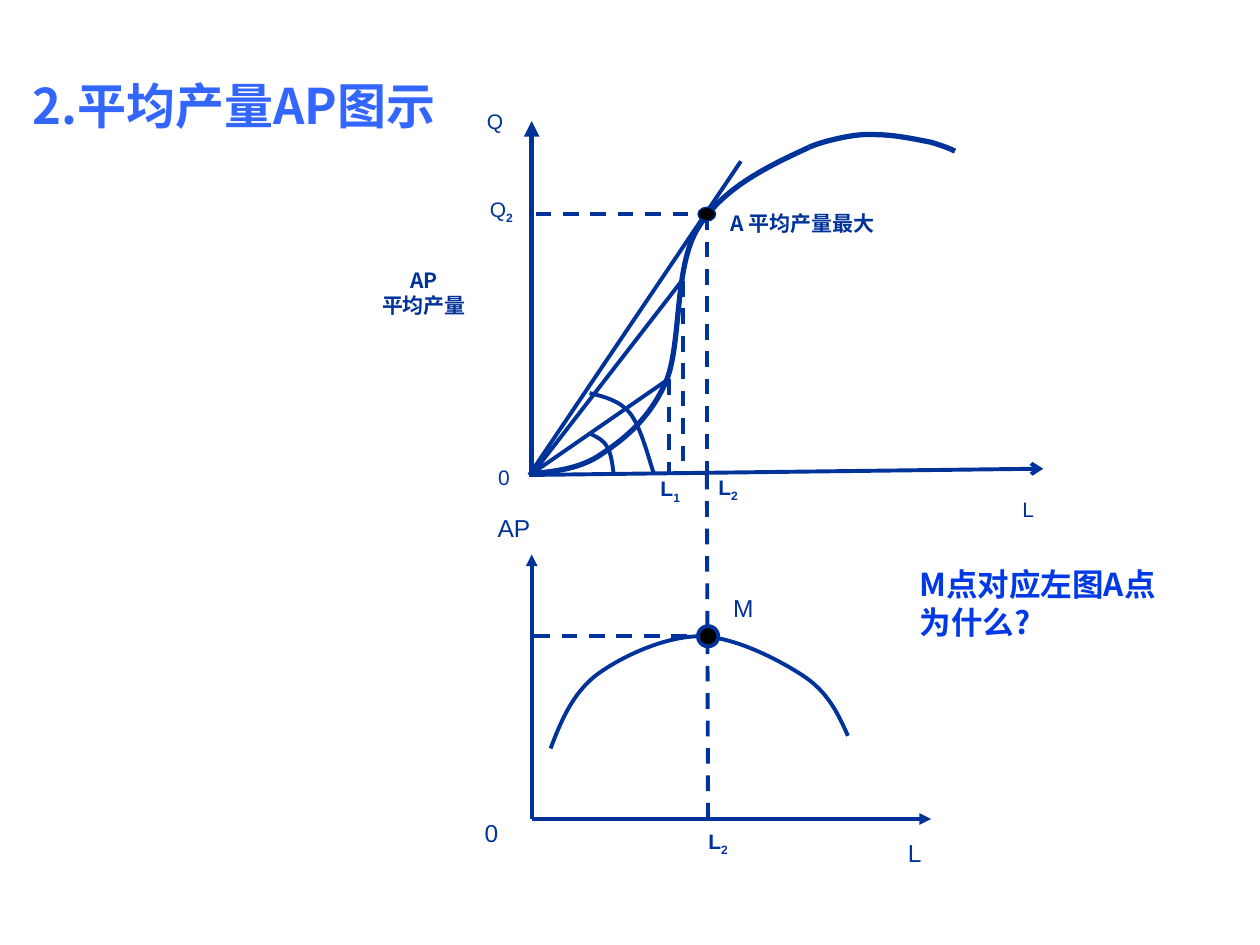
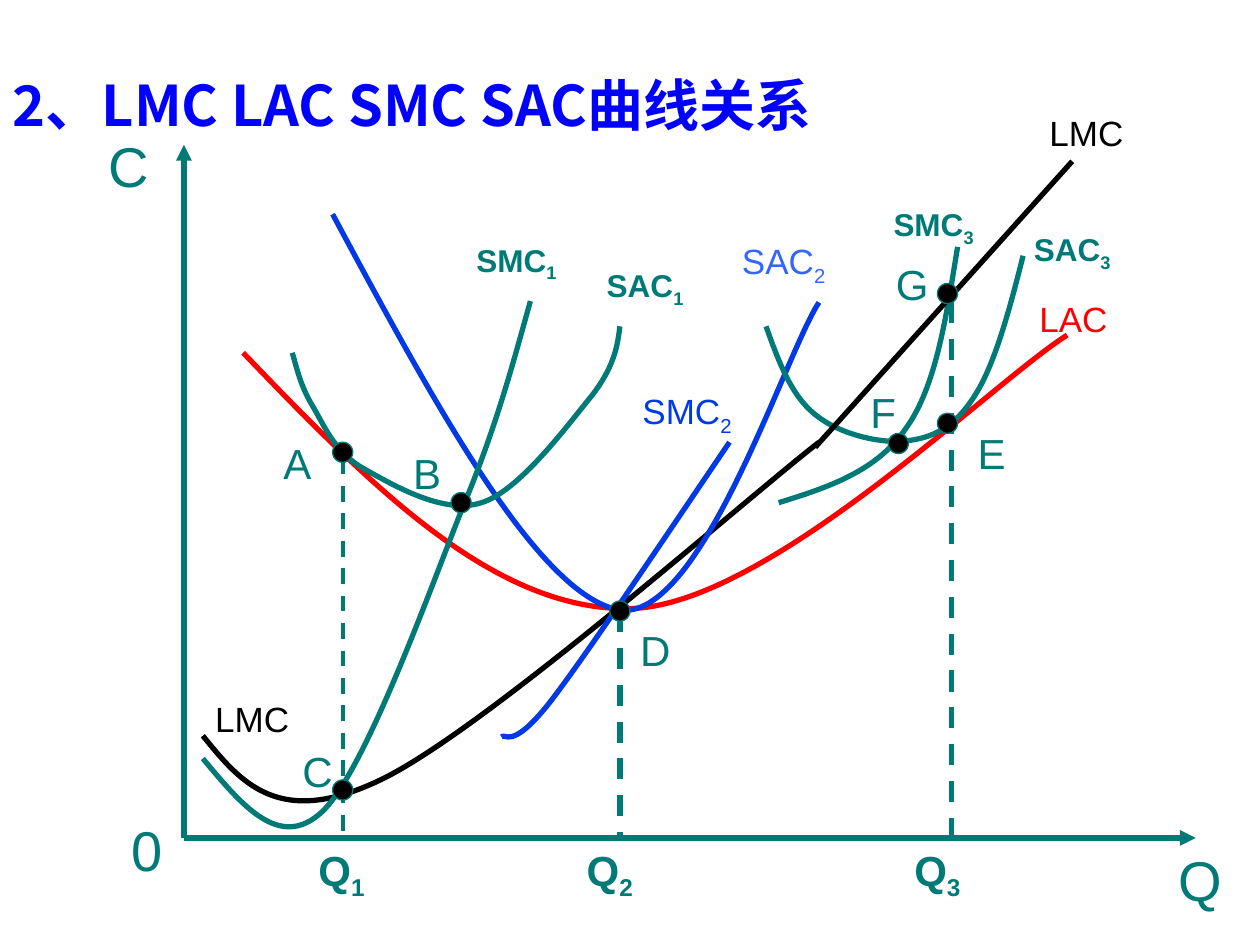
from dataclasses import dataclass

from lxml.etree import SubElement
from pptx import Presentation
from pptx.dml.color import RGBColor as RGB
from pptx.enum.dml import MSO_LINE
from pptx.enum.shapes import MSO_CONNECTOR, MSO_SHAPE
from pptx.enum.text import MSO_ANCHOR, MSO_AUTO_SIZE, PP_ALIGN
from pptx.oxml.ns import qn
from pptx.util import Inches, Pt


@dataclass(frozen=True)
class Theme:
    navy: RGB = RGB(0x00, 0x33, 0x99)
    teal: RGB = RGB(0x00, 0x7A, 0x77)
    blue: RGB = RGB(0x00, 0x39, 0xE5)
    sky: RGB = RGB(0x33, 0x66, 0xFF)
    pure_blue: RGB = RGB(0x00, 0x00, 0xFF)
    red: RGB = RGB(0xFF, 0x00, 0x00)
    black: RGB = RGB(0x00, 0x00, 0x00)
    latin: str = "Arial"
    chinese: str = "Noto Sans CJK SC"
    tiny: int = 12
    small: int = 14
    note: int = 18
    curve_name: int = 20
    point_name: int = 24
    product_title: int = 28
    cost_title: int = 32
    axis_name: int = 32
    thin: float = 0.75
    medium: float = 2.25
    thick: float = 3


THEME = Theme()


def write(frame, text, size, color, font=THEME.latin, bold=False, align=PP_ALIGN.CENTER):
    """Fill a text frame; a newline starts a paragraph, an underscore a subscript."""
    for number, line in enumerate(text.split("\n")):
        paragraph = frame.add_paragraph() if number else frame.paragraphs[0]
        paragraph.alignment = align
        paragraph.font.size = Pt(size)
        paragraph.font.bold = bold
        paragraph.font.color.rgb = color
        paragraph.font.name = font
        properties = paragraph._p.pPr.find(qn("a:defRPr"))
        SubElement(properties, qn("a:ea")).set("typeface", font)
        base, _, subscript = line.partition("_")
        paragraph.add_run().text = base
        if subscript:
            index = paragraph.add_run()
            index.text = subscript
            index._r.get_or_add_rPr().set("baseline", "-25000")


def bend(outline):
    """Turn each three straight segments of a freeform into one cubic curve."""
    segments = list(outline._element.iter(qn("a:lnTo")))
    for i in range(0, len(segments), 3):
        first, *others = segments[i:i + 3]
        first.tag = qn("a:cubicBezTo")
        for segment in others:
            first.append(segment[0])
            segment.getparent().remove(segment)


class Plot:
    """Drawing area whose coordinates are inches from its top left corner."""

    def __init__(self, slide, box, color):
        self.shapes = slide.shapes
        self.left, self.top = box[:2]
        self.color = color

    def at(self, x, y):
        return Inches(self.left + x), Inches(self.top + y)

    def line(self, start, end, width=THEME.medium, color=None, dashed=False, head=None):
        connector = self.shapes.add_connector(
            MSO_CONNECTOR.STRAIGHT, *self.at(*start), *self.at(*end))
        connector.line.color.rgb = color or self.color
        connector.line.width = Pt(width)
        if dashed:
            connector.line.dash_style = MSO_LINE.DASH
        properties = connector._element.spPr
        if head:
            SubElement(properties.find(qn("a:ln")), qn("a:tailEnd")).set("type", head)
        SubElement(properties, qn("a:effectLst"))

    def curve(self, *numbers, width=THEME.thick, color=None):
        """Draw cubic pieces from x, y numbers: a start, then three points a piece."""
        start, *points = [self.at(*knot) for knot in zip(numbers[::2], numbers[1::2])]
        builder = self.shapes.build_freeform(*start)
        builder.add_line_segments(points, close=False)
        outline = builder.convert_to_shape()
        bend(outline)
        outline.shadow.inherit = False
        outline.fill.background()
        outline.line.color.rgb = color or self.color
        outline.line.width = Pt(width)

    def dot(self, x, y, width=0.16, height=0.16, border=THEME.thin):
        marker = self.shapes.add_shape(
            MSO_SHAPE.OVAL, *self.at(x - width / 2, y - height / 2),
            Inches(width), Inches(height))
        marker.shadow.inherit = False
        marker.fill.solid()
        marker.fill.fore_color.rgb = THEME.black
        marker.line.color.rgb = self.color
        marker.line.width = Pt(border)

    def label(self, text, x, y, size, color=None, width=0.64, height=0.44,
              align=PP_ALIGN.CENTER, **style):
        """Place text with its middle at y, and its centre or left edge at x."""
        left = x - width / 2 if align == PP_ALIGN.CENTER else x
        box = self.shapes.add_textbox(
            *self.at(left, y - height / 2), Inches(width), Inches(height))
        frame = box.text_frame
        frame.word_wrap = False
        frame.vertical_anchor = MSO_ANCHOR.MIDDLE
        write(frame, text, size, color or self.color, align=align, **style)
        return frame


def add_titled_slide(deck, text, box, size, color):
    slide = deck.slides.add_slide(deck.slide_layouts[5])
    title = slide.shapes.title
    title.left, title.top, title.width, title.height = map(Inches, box)
    frame = title.text_frame
    frame.auto_size = MSO_AUTO_SIZE.NONE
    frame.vertical_anchor = MSO_ANCHOR.MIDDLE
    write(frame, text, size, color, THEME.chinese, True, PP_ALIGN.LEFT)
    return slide


def draw_total_product(slide, box):
    plot = Plot(slide, box, THEME.navy)
    origin = (1.72, 3.26)
    plot.line(origin, (1.72, 0.46), THEME.thick, head="triangle")
    plot.line((1.7, 3.27), (5.78, 3.22), head="arrow")
    plot.curve(*origin, 1.91, 3.24, 2.11, 3.22, 2.28, 3.1,
               2.46, 2.98, 2.66, 2.82, 2.79, 2.52,
               2.91, 2.22, 2.85, 1.61, 3.04, 1.31,
               3.23, 1, 3.57, 0.83, 3.92, 0.67)
    plot.curve(3.92, 0.67, 3.99, 0.64, 4.06, 0.62, 4.15, 0.6,
               4.24, 0.58, 4.35, 0.56, 4.47, 0.57,
               4.6, 0.57, 4.79, 0.61, 4.89, 0.63,
               4.99, 0.66, 5.04, 0.68, 5.08, 0.7)
    for ray_start, ray_end in ((origin, (2.79, 2.52)),
                               ((1.71, 3.28), (2.91, 1.73)),
                               ((1.7, 3.27), (3.38, 0.78))):
        plot.line(ray_start, ray_end)
    for x, y in ((2.81, 2.51), (2.92, 1.73), (3.11, 1.2)):
        plot.line((x, y), (x, 3.26), dashed=True)
    plot.line((1.75, 1.2), (3.04, 1.2), dashed=True)
    plot.curve(2.18, 2.94, 2.24, 2.97, 2.29, 2.99, 2.32, 3.05,
               2.35, 3.1, 2.36, 3.18, 2.37, 3.26, width=THEME.medium)
    plot.curve(2.18, 2.62, 2.3, 2.65, 2.42, 2.68, 2.5, 2.78,
               2.59, 2.89, 2.66, 3.18, 2.69, 3.26, width=THEME.medium)
    plot.dot(3.11, 1.2, 0.14, 0.11)

    for text, x, y in (("Q", 1.43, 0.46), ("0", 1.5, 3.29), ("L", 5.66, 3.54)):
        plot.label(text, x, y, THEME.tiny)
    for text, x, y in (("L_1", 2.82, 3.39), ("L_2", 3.28, 3.38)):
        plot.label(text, x, y, THEME.tiny, bold=True)
    output = plot.label("Q_2", 1.48, 1.17, THEME.tiny)
    output.paragraphs[0].runs[1].font.bold = True
    plot.label("A 平均产量最大", 3.2, 1.27, THEME.tiny, width=1.7,
               align=PP_ALIGN.LEFT, font=THEME.chinese, bold=True)

    callout = slide.shapes.add_shape(
        MSO_SHAPE.LINE_CALLOUT_2, *plot.at(0.39, 1.57), Inches(0.95), Inches(0.92))
    callout.shadow.inherit = False
    callout.fill.background()
    callout.line.fill.background()
    for i, value in enumerate((0.09, 1.08, 0.09, 1.57, 1.18, 2.05)):
        callout.adjustments[i] = value
    callout.text_frame.vertical_anchor = MSO_ANCHOR.TOP
    write(callout.text_frame, "AP\n平均产量", THEME.tiny, THEME.navy, THEME.chinese, True)


def draw_average_product(slide, box):
    plot = Plot(slide, box, THEME.navy)
    for axis_end in ((3.89, 2.8), (0.72, 0.7)):
        plot.line((0.72, 2.8), axis_end, head="triangle")
    plot.curve(0.87, 2.24, 0.95, 2.03, 1.04, 1.81, 1.23, 1.66,
               1.43, 1.51, 1.78, 1.35, 2.05, 1.35,
               2.32, 1.35, 2.67, 1.53, 2.87, 1.66,
               3.07, 1.79, 3.15, 1.96, 3.23, 2.14, width=THEME.medium)
    plot.line((2.17, 1.35), (0.72, 1.35), dashed=True)
    plot.line((2.11, 0.06), (2.12, 2.83), dashed=True)
    plot.dot(2.12, 1.35, border=THEME.medium)
    for text, x, y in (("AP", 0.58, 0.49), ("L", 3.76, 3.07),
                       ("0", 0.4, 2.91), ("M", 2.4, 1.12)):
        plot.label(text, x, y, THEME.small)
    plot.label("L_2", 2.2, 2.99, THEME.tiny, bold=True)


def add_question(slide, box):
    width, height = box[2:]
    Plot(slide, box, THEME.blue).label(
        "M点对应左图A点\n为什么?", 0, height / 2, THEME.note, width=width, height=height,
        align=PP_ALIGN.LEFT, font=THEME.chinese, bold=True)


def draw_cost_curves(slide, box):
    plot = Plot(slide, box, THEME.teal)
    for start, end, head in (((0.96, 1.6), (0.96, 6.15), None),
                             ((0.96, 6.15), (8.52, 6.15), None),
                             ((0.96, 1.68), (0.96, 0.65), "triangle"),
                             ((8.52, 6.15), (8.99, 6.15), "triangle")):
        plot.line(start, end, THEME.thick, head=head)

    lac = (1.43, 2.3, 2.42, 3.33, 3.41, 4.35, 4.5, 4.33,
           5.59, 4.31, 7.39, 2.52, 7.97, 2.16)
    lmc = (1.11, 5.34, 1.41, 5.71, 1.71, 6.08, 2.52, 5.69,
           3.34, 5.3, 5.42, 3.46, 6, 3.01)
    sac2 = (2.14, 1.2, 2.95, 2.71, 3.77, 4.22, 4.41, 4.34,
            5.06, 4.45, 5.73, 2.31, 6, 1.9)
    smc2 = (5.29, 3.01, 4.72, 3.85, 4.16, 4.69, 3.86, 5.08,
            3.55, 5.47, 3.51, 5.31, 3.48, 5.35)
    sac1 = (1.82, 2.3, 1.86, 2.44, 1.89, 2.57, 1.98, 2.72,
            2.07, 2.87, 2.15, 3.08, 2.37, 3.21, 2.6, 3.34, 3.02, 3.59, 3.32, 3.49,
            3.62, 3.4, 4, 2.88, 4.19, 2.65, 4.37, 2.42, 4.4, 2.26, 4.42, 2.09)
    smc1 = (3.71, 1.89, 3.57, 2.39, 3.44, 2.89, 3.16, 3.56,
            2.89, 4.24, 2.4, 5.61, 2.06, 5.94, 1.72, 6.26, 1.42, 5.89, 1.11, 5.52)
    sac3 = (5.58, 2.09, 5.68, 2.37, 5.78, 2.64, 5.97, 2.79,
            6.15, 2.94, 6.47, 3.02, 6.68, 3, 6.89, 2.98, 7.07, 2.9, 7.23, 2.65,
            7.39, 2.41, 7.51, 1.97, 7.62, 1.53)
    smc3 = (7.1, 1.46, 7.01, 2.01, 6.93, 2.57, 6.69, 2.9,
            6.46, 3.24, 6.07, 3.37, 5.68, 3.49)
    for cost, color in ((lac, THEME.red), (lmc, THEME.black),
                        (sac2, THEME.blue), (smc2, THEME.blue),
                        (sac1, THEME.teal), (smc1, THEME.teal),
                        (sac3, THEME.teal), (smc3, THEME.teal)):
        plot.curve(*cost, color=color)
    plot.line((5.97, 3.05), (8.01, 0.78), THEME.thick, THEME.black)

    for text, x, y, text_x, width in (("Q_1", 2.22, 3.14, 2.21, THEME.medium),
                                      ("Q_2", 4.42, 4.35, 4.34, THEME.thick),
                                      ("Q_3", 7.05, 1.9, 6.94, THEME.thick)):
        plot.line((x, y), (x, 6.16), width, dashed=True)
        plot.label(text, text_x, 6.43, THEME.point_name, bold=True)
    for text, x, y in (("SAC_1", 4.62, 1.78), ("SMC_1", 3.6, 1.58),
                       ("SAC_3", 8.01, 1.5), ("SMC_3", 6.91, 1.3)):
        plot.label(text, x, y, THEME.note, width=1, bold=True)
    for text, x, y, color in (("LAC", 7.65, 2.03, THEME.red),
                              ("LMC", 1.11, 5.2, THEME.black),
                              ("LMC", 7.73, 0.55, THEME.black),
                              ("SMC_2", 4.5, 2.78, THEME.blue),
                              ("SAC_2", 5.29, 1.59, THEME.sky)):
        plot.label(text, x, y, THEME.curve_name, color, width=1.12, align=PP_ALIGN.LEFT)
    for text, x, y in (("C", 0.52, 0.81), ("Q", 9.03, 6.48), ("0", 0.67, 6.24)):
        plot.label(text, x, y, THEME.axis_name, height=0.63)
    for text, x, y, text_x, text_y in (("A", 2.22, 3.09, 1.86, 3.17),
                                       ("B", 3.16, 3.49, 2.89, 3.25),
                                       ("C", 2.22, 5.77, 2.02, 5.62),
                                       ("D", 4.42, 4.35, 4.7, 4.66),
                                       ("E", 7.02, 2.86, 7.37, 3.09),
                                       ("F", 6.63, 3.02, 6.51, 2.77),
                                       ("G", 7.02, 1.83, 6.74, 1.75)):
        plot.dot(x, y)
        plot.label(text, text_x, text_y, THEME.point_name)


def main():
    deck = Presentation()
    deck.slide_width, deck.slide_height = Inches(10), Inches(7.5)

    product = add_titled_slide(deck, "2.平均产量AP图示", (0.16, 0.55, 3.8, 0.56),
                               THEME.product_title, THEME.sky)
    draw_total_product(product, (2.5, 0.5, 6, 3.8))
    draw_average_product(product, (3.5, 3.7, 4.2, 3.3))
    add_question(product, (7.2, 4.43, 2.6, 0.71))

    cost = add_titled_slide(deck, "2、LMC LAC SMC SAC曲线关系", (0, 0.55, 8, 0.56),
                            THEME.cost_title, THEME.pure_blue)
    draw_cost_curves(cost, (0.5, 0.5, 9.3, 6.8))
    deck.save("out.pptx")


if __name__ == "__main__":
    main()
